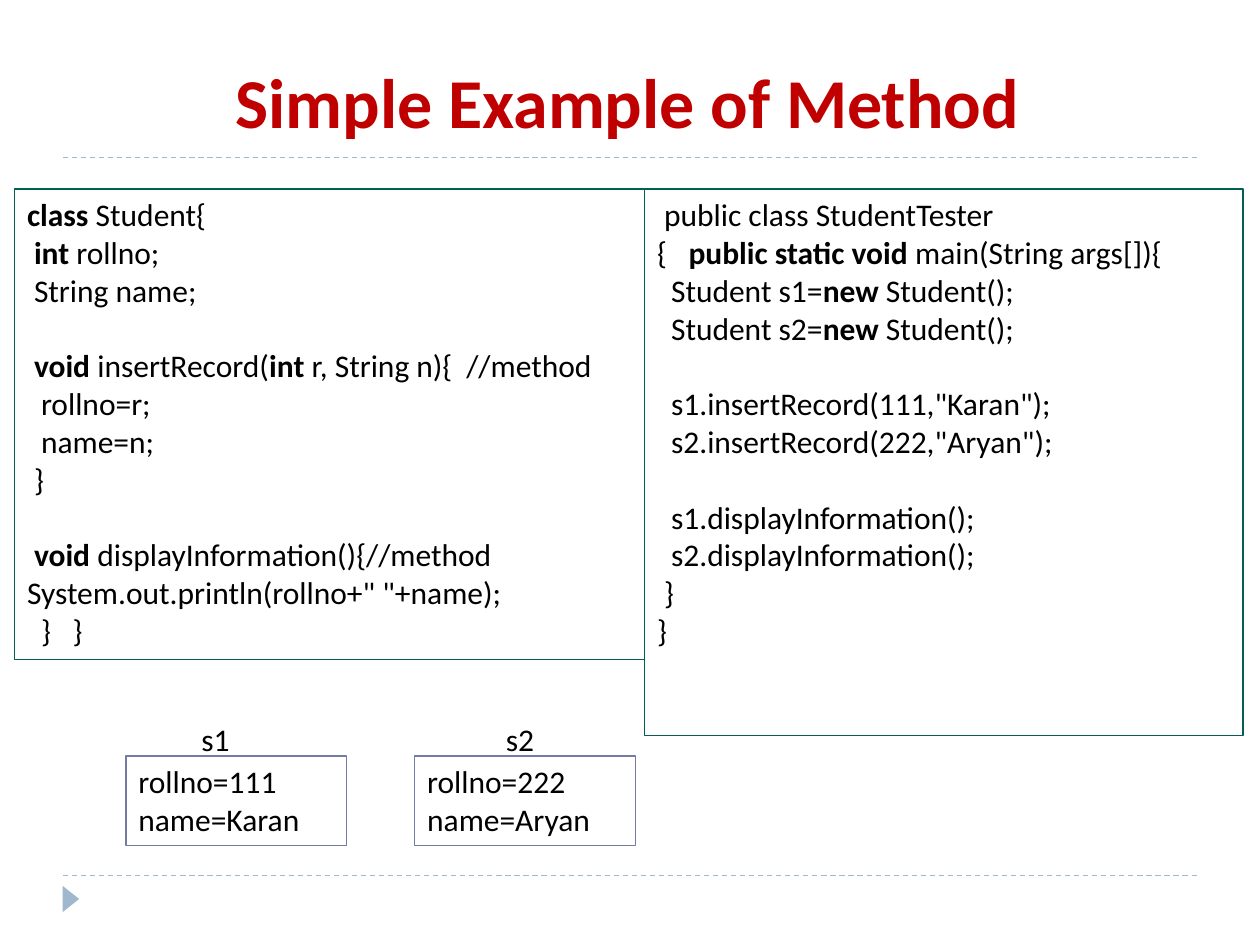
from pptx import Presentation
from pptx.dml.color import RGBColor
from pptx.enum.dml import MSO_LINE_DASH_STYLE as Dash
from pptx.enum.shapes import MSO_CONNECTOR as Connector, MSO_SHAPE as Shape
from pptx.enum.text import MSO_ANCHOR as Anchor, PP_ALIGN as Align
from pptx.oxml.ns import qn
from pptx.util import Pt
from lxml.etree import SubElement

FONT = "Calibri"
TEXT_SIZE = 18
LINE_GAP = 21.6  # height of one skipped code line
ACCENT, CODE_EDGE, RECORD_EDGE = "9FB8CD", "035D59", "727CA3"

# Each code line: text with **keywords**, indent, skipped lines before it,
# and where the part after a tab starts.
STUDENT_CODE = [
    ("**class** Student{", 0, 0, 0),
    ("**int** rollno;", 4, 0, 0),
    ("String name;", 4, 0, 0),
    ("**void** insertRecord(**int** r, String n){\t//method", 4, 1, 251),
    ("rollno=r;", 8, 0, 0),
    ("name=n;", 8, 0, 0),
    ("}", 4, 0, 0),
    ("**void** displayInformation(){//method", 4, 1, 0),
    ('System.out.println(rollno+" "+name);', 0, 0, 0),
    ("}\t}", 8, 0, 26),
]
TESTER_CODE = [
    ("public class StudentTester", 4, 0, 0),
    ("{\t**public static void** main(String args[]){", 0, 0, 18),
    ("Student s1=**new** Student();", 8, 0, 0),
    ("Student s2=**new** Student();", 8, 0, 0),
    ('s1.insertRecord(111,"Karan");', 8, 1, 0),
    ('s2.insertRecord(222,"Aryan");', 8, 0, 0),
    ("s1.displayInformation();", 8, 1, 0),
    ("s2.displayInformation();", 8, 0, 0),
    ("}", 4, 0, 0),
    ("}", 0, 0, 0),
]


def color(hex_code):
    return RGBColor.from_string(hex_code)


def style(paragraph, size=TEXT_SIZE, hex_code="000000"):
    font = paragraph.font
    font.name, font.size = FONT, Pt(size)
    font.color.rgb = color(hex_code)


def write_lines(frame, lines):
    """Fill a text frame with code lines, setting **keywords** in bold."""
    frame.word_wrap = True
    for number, (text, indent, skipped, tab) in enumerate(lines):
        paragraph = frame.paragraphs[0] if number == 0 else frame.add_paragraph()
        paragraph.alignment = Align.LEFT
        paragraph.space_before = Pt(skipped * LINE_GAP)
        style(paragraph)
        # A hanging indent makes the tab land on the left margin
        margin = tab or indent
        properties = paragraph._p.get_or_add_pPr()
        properties.set("marL", str(Pt(margin)))
        properties.set("indent", str(Pt(indent - margin)))
        for part, words in enumerate(text.split("**")):
            if words:
                run = paragraph.add_run()
                run.text = words
                if part % 2:
                    run.font.bold = True


def add_rule(slide, y):
    rule = slide.shapes.add_connector(Connector.STRAIGHT, Pt(36), Pt(y), Pt(684), Pt(y))
    rule.line.color.rgb = color(ACCENT)
    rule.line.width = Pt(0.75)
    rule.line.dash_style = Dash.DASH
    SubElement(rule._element.spPr, qn("a:effectLst"))


def add_marker(slide):
    marker = slide.shapes.add_shape(Shape.ISOSCELES_TRIANGLE, Pt(33), Pt(509), Pt(15), Pt(9.4))
    marker.rotation = 90
    marker.shadow.inherit = False
    marker.fill.solid()
    marker.fill.fore_color.rgb = color(ACCENT)
    marker.line.fill.background()


def add_title(slide, text):
    title = slide.shapes.title
    title.left, title.top, title.width, title.height = Pt(73.5), Pt(29.5), Pt(570), Pt(55.5)
    frame = title.text_frame
    frame.text = text
    frame.vertical_anchor = Anchor.MIDDLE
    heading = frame.paragraphs[0]
    heading.alignment = Align.CENTER
    style(heading, 40, "C00000")
    heading.font.bold = True


def add_box(slide, left, top, width, height, edge, lines):
    box = slide.shapes.add_shape(Shape.RECTANGLE, Pt(left), Pt(top), Pt(width), Pt(height))
    box.shadow.inherit = False
    box.fill.background()
    box.line.color.rgb = color(edge)
    box.line.width = Pt(0.75)
    box.text_frame.vertical_anchor = Anchor.TOP
    write_lines(box.text_frame, lines)


def add_label(slide, left, top, text):
    label = slide.shapes.add_textbox(Pt(left), Pt(top), Pt(36), Pt(29))
    write_lines(label.text_frame, [(text, 0, 0, 0)])


def main():
    deck = Presentation()
    deck.slide_width, deck.slide_height = Pt(720), Pt(540)
    slide = deck.slides.add_slide(deck.slide_layouts[5])

    # Frame of the slide
    for y in (500.4, 90):
        add_rule(slide, y)
    add_marker(slide)
    add_title(slide, "Simple Example of Method")

    # The two classes side by side
    add_box(slide, 8.4, 108, 360, 269, CODE_EDGE, STUDENT_CODE)
    add_box(slide, 368.4, 108, 342, 312.5, CODE_EDGE, TESTER_CODE)

    # The objects they create
    records = [
        ("s1", 108, 72, "111", "Karan"),
        ("s2", 282, 237, "222", "Aryan"),
    ]
    for label, label_left, box_left, rollno, name in records:
        fields = [(f"rollno={rollno}", 0, 0, 0), (f"name={name}", 0, 0, 0)]
        add_box(slide, box_left, 432, 126, 51, RECORD_EDGE, fields)
        add_label(slide, label_left, 408, label)

    deck.save("out.pptx")


if __name__ == "__main__":
    main()
